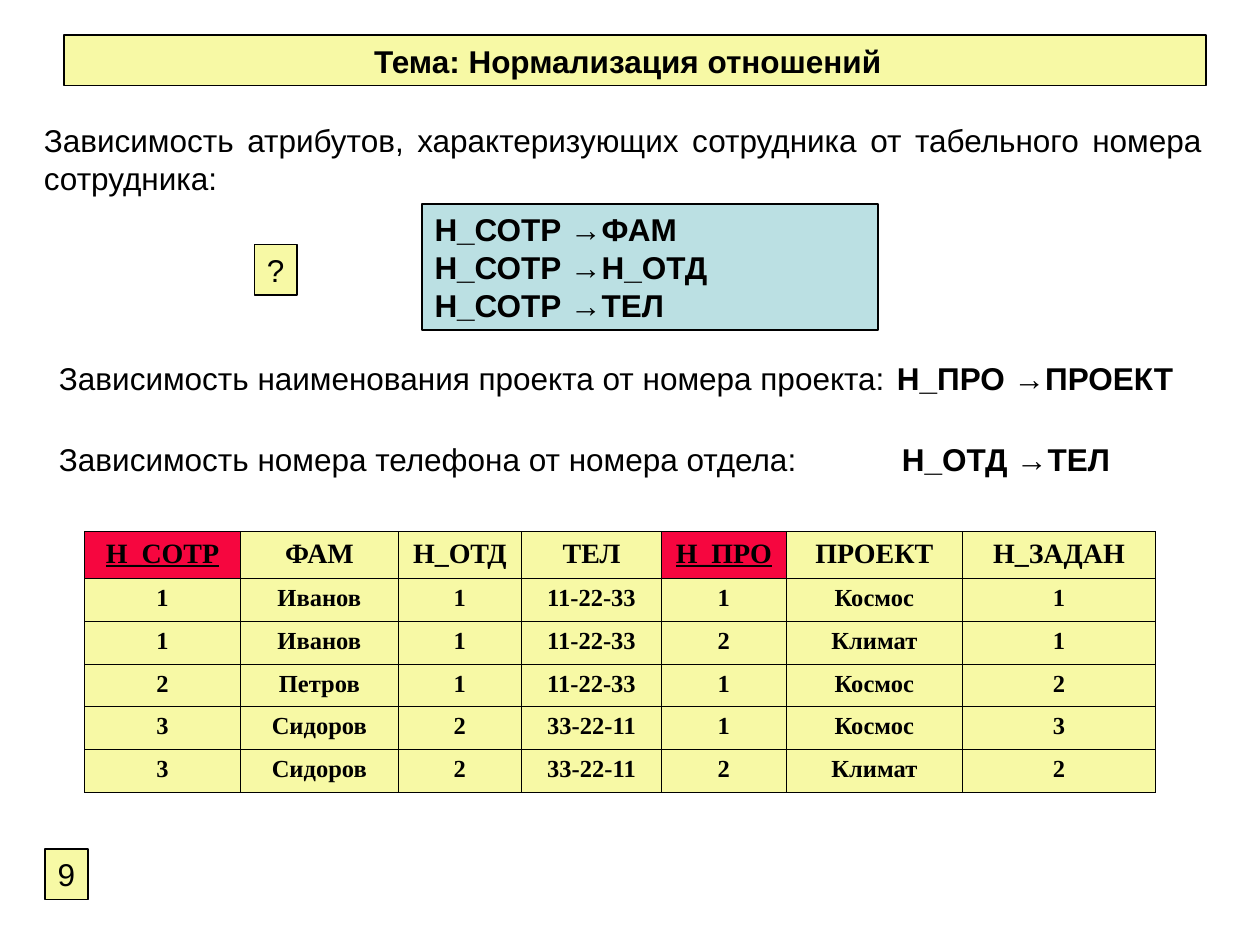
"""Build a slide on functional dependencies in relation normalization."""
import pptx
import pptx.dml.color
import pptx.enum.shapes
import pptx.enum.text
import pptx.oxml
import pptx.oxml.ns
import pptx.util
from pptx.util import Inches

RGBColor = pptx.dml.color.RGBColor
BLACK = RGBColor(0x00, 0x00, 0x00)
YELLOW = RGBColor(0xF7, 0xF9, 0xA5)
BLUE = RGBColor(0xBB, 0xE0, 0xE3)
RED = RGBColor(0xF6, 0x06, 0x3F)
ALIGN = pptx.enum.text.PP_ALIGN
ANCHOR = pptx.enum.text.MSO_ANCHOR

HEADER = ["Н_СОТР", "ФАМ", "Н_ОТД", "ТЕЛ", "Н_ПРО", "ПРОЕКТ", "Н_ЗАДАН"]
KEYS = {"Н_СОТР", "Н_ПРО"}
ROWS = [
    ["1", "Иванов", "1", "11-22-33", "1", "Космос", "1"],
    ["1", "Иванов", "1", "11-22-33", "2", "Климат", "1"],
    ["2", "Петров", "1", "11-22-33", "1", "Космос", "2"],
    ["3", "Сидоров", "2", "33-22-11", "1", "Космос", "3"],
    ["3", "Сидоров", "2", "33-22-11", "2", "Климат", "2"],
]
COLUMN_WIDTHS = [1.24, 1.25, 0.98, 1.11, 0.99, 1.4, 1.53]
ROW_HEIGHTS = [0.37] + [0.34] * len(ROWS)


class SlideBuilder:
    """Hold the text style and the slide being filled."""

    def __init__(self, prs):
        self.s = prs.slides.add_slide(prs.slide_layouts[5])
        self.font = "Arial"
        self.size = 18

    def add_text_run(self, p, text, bold=False, font=None, size=None, underline=False):
        r = p.add_run()
        r.text = text
        r.font.name = font or self.font
        r.font.size = pptx.util.Pt(size or self.size)
        r.font.bold = bold
        r.font.underline = underline
        r.font.color.rgb = BLACK

    def fill_frame(self, tf, paragraphs, align=ALIGN.LEFT, anchor=ANCHOR.MIDDLE, wrap=True):
        tf.word_wrap = wrap
        tf.auto_size = pptx.enum.text.MSO_AUTO_SIZE.NONE
        tf.vertical_anchor = anchor
        for i, runs in enumerate(paragraphs):
            p = tf.add_paragraph() if i else tf.paragraphs[0]
            p.alignment = align
            for text, bold in runs:
                self.add_text_run(p, text, bold)

    def paint(self, sp, fill):
        sp.fill.solid()
        sp.fill.fore_color.rgb = fill
        sp.line.color.rgb = BLACK
        sp.line.width = pptx.util.Pt(1)

    def title(self, text, x, y, w, h, indent):
        sp = self.s.shapes.title
        sp.left, sp.top, sp.width, sp.height = map(Inches, (x, y, w, h))
        self.paint(sp, YELLOW)
        self.fill_frame(sp.text_frame, [[(text, True)]], anchor=ANCHOR.TOP)
        sp.text_frame.margin_left = Inches(indent)

    def box(self, paragraphs, x, y, w, h, fill, **layout):
        sp = self.s.shapes.add_shape(
            pptx.enum.shapes.MSO_SHAPE.RECTANGLE, *map(Inches, (x, y, w, h)))
        sp.shadow.inherit = False
        self.paint(sp, fill)
        self.fill_frame(sp.text_frame, paragraphs, **layout)

    def text(self, runs, x, y, w, h=0.4, align=ALIGN.LEFT):
        sp = self.s.shapes.add_textbox(*map(Inches, (x, y, w, h)))
        self.fill_frame(sp.text_frame, [runs], align)

    def cell(self, cell, text, size, key):
        p = cell.text_frame.paragraphs[0]
        p.alignment = ALIGN.CENTER
        self.add_text_run(p, text, True, "Times New Roman", size, key)
        tcPr = cell._tc.get_or_add_tcPr()
        for side in "LRTB":
            tcPr.append(pptx.oxml.parse_xml(
                f'<a:ln{side} {pptx.oxml.ns.nsdecls("a")} w="5715"><a:solidFill>'
                f'<a:srgbClr val="{BLACK}"/></a:solidFill></a:ln{side}>'))
        cell.fill.solid()
        cell.fill.fore_color.rgb = RED if key else YELLOW

    def table(self, rows, x, y, widths, heights):
        tbl = self.s.shapes.add_table(
            len(rows), len(widths), Inches(x), Inches(y),
            Inches(sum(widths)), Inches(sum(heights))).table
        tbl.first_row = tbl.horz_banding = False
        for column, width in zip(tbl.columns, widths):
            column.width = Inches(width)
        for i, (values, height) in enumerate(zip(rows, heights)):
            tbl.rows[i].height = Inches(height)
            for j, value in enumerate(values):
                self.cell(tbl.cell(i, j), value, 14 if i else 16, value in KEYS)


def dependency(source, target):
    return [(f"{source} ", True), ("→", False), (target, True)]


def main():
    prs = pptx.Presentation()
    prs.slide_width, prs.slide_height = Inches(10), Inches(7.5)
    b = SlideBuilder(prs)
    b.title("Тема: Нормализация отношений", 0.51, 0.28, 9.06, 0.4, 2.46)
    b.box([[("9", False)]], 0.36, 6.74, 0.34, 0.4, YELLOW, anchor=ANCHOR.TOP, wrap=False)
    b.text([("Зависимость атрибутов, характеризующих сотрудника от табельного "
             "номера сотрудника:", False)], 0.25, 0.91, 9.39, 0.7, ALIGN.JUSTIFY)
    b.box([dependency("Н_СОТР", name) for name in ("ФАМ", "Н_ОТД", "ТЕЛ")],
          3.35, 1.62, 3.62, 1, BLUE)
    b.text([("Зависимость наименования проекта от номера проекта:", False)], 0.37, 2.8, 6.83)
    b.text(dependency("Н_ПРО", "ПРОЕКТ"), 7.02, 2.8, 2.46)
    b.text([("Зависимость номера телефона от номера отдела:", False)], 0.37, 3.44, 6.16)
    b.text([("Н_ОТД →ТЕЛ", True)], 7.06, 3.44, 1.93)
    b.table([HEADER] + ROWS, 0.67, 4.22, COLUMN_WIDTHS, ROW_HEIGHTS)
    b.box([[("?", False)]], 2.02, 1.94, 0.34, 0.4, YELLOW, anchor=ANCHOR.TOP, wrap=False)
    prs.save("out.pptx")


if __name__ == "__main__":
    main()
